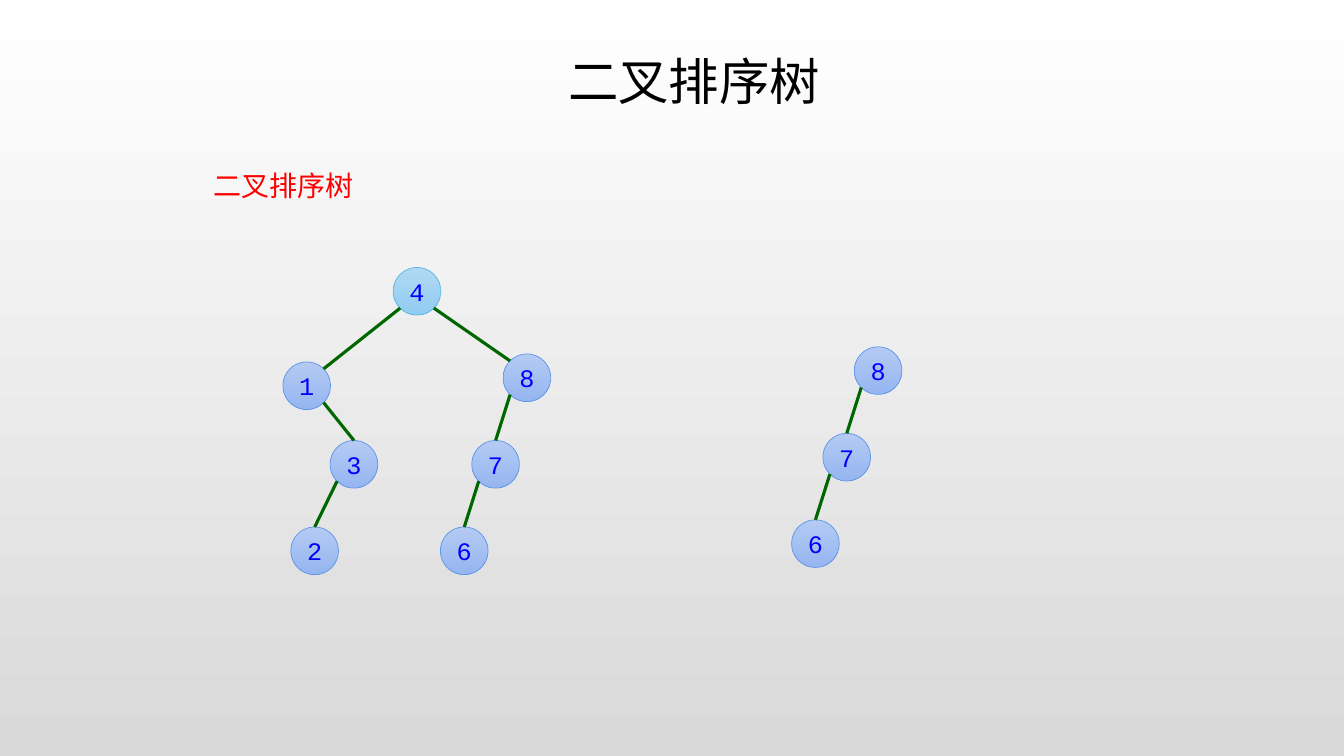
"""Build a slide that shows a binary sort tree beside one of its branches."""
import dataclasses

import lxml.etree
import pptx
import pptx.dml.color
import pptx.enum.shapes
import pptx.enum.text
import pptx.oxml.ns
import pptx.util

Cm = pptx.util.Cm
Pt = pptx.util.Pt
RGB = pptx.dml.color.RGBColor.from_string
Align = pptx.enum.text.PP_ALIGN
Anchor = pptx.enum.text.MSO_ANCHOR
qn = pptx.oxml.ns.qn


@dataclasses.dataclass
class Theme:
    font: str = "Courier New"
    title: tuple = (36, "000000")
    body: tuple = (20, "FF0000")
    label: tuple = (18, "0000FF")
    back: tuple = ("FFFFFF", "D9D9D9")
    root: tuple = ("B1D9F3", "92CCF1", "58B6E5")
    node: tuple = ("B4CAF3", "96B6F1", "6096E6")
    edge: str = "006600"


theme = Theme()


def shade(fill, colors):
    fill.gradient()
    fill.gradient_angle = 270
    for stop, color in zip(fill.gradient_stops, colors):
        stop.color.rgb = RGB(color)


def write(shape, text, style, align, anchor):
    frame = shape.text_frame
    frame.text = text
    frame.word_wrap = True
    frame.auto_size = pptx.enum.text.MSO_AUTO_SIZE.NONE
    frame.vertical_anchor = anchor
    para = frame.paragraphs[0]
    para.alignment = align
    para.space_before = Pt(0)
    font = para.runs[0].font
    font.name = theme.font
    font.size = Pt(style[0])
    font.color.rgb = RGB(style[1])
    return para


deck = pptx.Presentation()
deck.slide_width = Cm(33.87)
deck.slide_height = Cm(19.05)
slide = deck.slides.add_slide(deck.slide_layouts[1])
shade(slide.background.fill, theme.back)

title = slide.shapes.title
title.left, title.top, title.width, title.height = Cm(11.74), Cm(1.12), Cm(11.5), Cm(1.8)
write(title, "二叉排序树", theme.title, Align.CENTER, Anchor.MIDDLE)

body = slide.placeholders[1]
body.left, body.top, body.width, body.height = Cm(5.13), Cm(3.91), Cm(21.92), Cm(2.82)
para = write(body, "二叉排序树", theme.body, Align.JUSTIFY, Anchor.TOP)
para.line_spacing = Pt(30)
props = para._p.get_or_add_pPr()
props.set("marL", "0")
props.set("indent", "0")
lxml.etree.SubElement(props, qn("a:buNone"))

size = 1.2
diag = size / 2 * 0.5 ** 0.5
dx, dy = 0.79, 2.18


trees = [
    (
        {str(8 - i): (22.13 - i * dx, 9.34 + i * dy) for i in range(3)},
        ["87", "76"],
    ),
    (
        {
            "4": (10.51, 7.34),
            "1": (7.73, 9.72),
            "3": (8.92, 11.7),
            "2": (7.93, 13.88),
            **{str(8 - i): (13.28 - i * dx, 9.52 + i * dy) for i in range(3)},
        },
        ["41", "48", "13", "32", "87", "76"],
    ),
]

for spots, edges in trees:
    group = slide.shapes.add_group_shape()
    nodes = {}
    for key, (x, y) in spots.items():
        node = group.shapes.add_shape(
            pptx.enum.shapes.MSO_SHAPE.OVAL,
            Cm(x - size / 2), Cm(y - size / 2), Cm(size), Cm(size),
        )
        look = theme.root if key == "4" else theme.node
        node.shadow.inherit = False
        shade(node.fill, look)
        node.line.color.rgb = RGB(look[2])
        node.line.width = Pt(0.5)
        write(node, key, theme.label, Align.CENTER, Anchor.MIDDLE)
        node.text_frame.margin_left = node.text_frame.margin_right = 0
        nodes[key] = node
    for start, end in edges:
        (x1, y1), (x2, y2) = spots[start], spots[end]
        side = diag if x2 > x1 else -diag
        edge = group.shapes.add_connector(
            pptx.enum.shapes.MSO_CONNECTOR.STRAIGHT,
            Cm(x1 + side), Cm(y1 + diag), Cm(x2 - side), Cm(y2 - diag),
        )
        if start != "4":
            edge.end_connect(nodes[end], 0)
        edge.line.color.rgb = RGB(theme.edge)
        edge.line.width = Pt(2.25)
        lxml.etree.SubElement(edge._element.spPr, qn("a:effectLst"))

deck.save("out.pptx")
